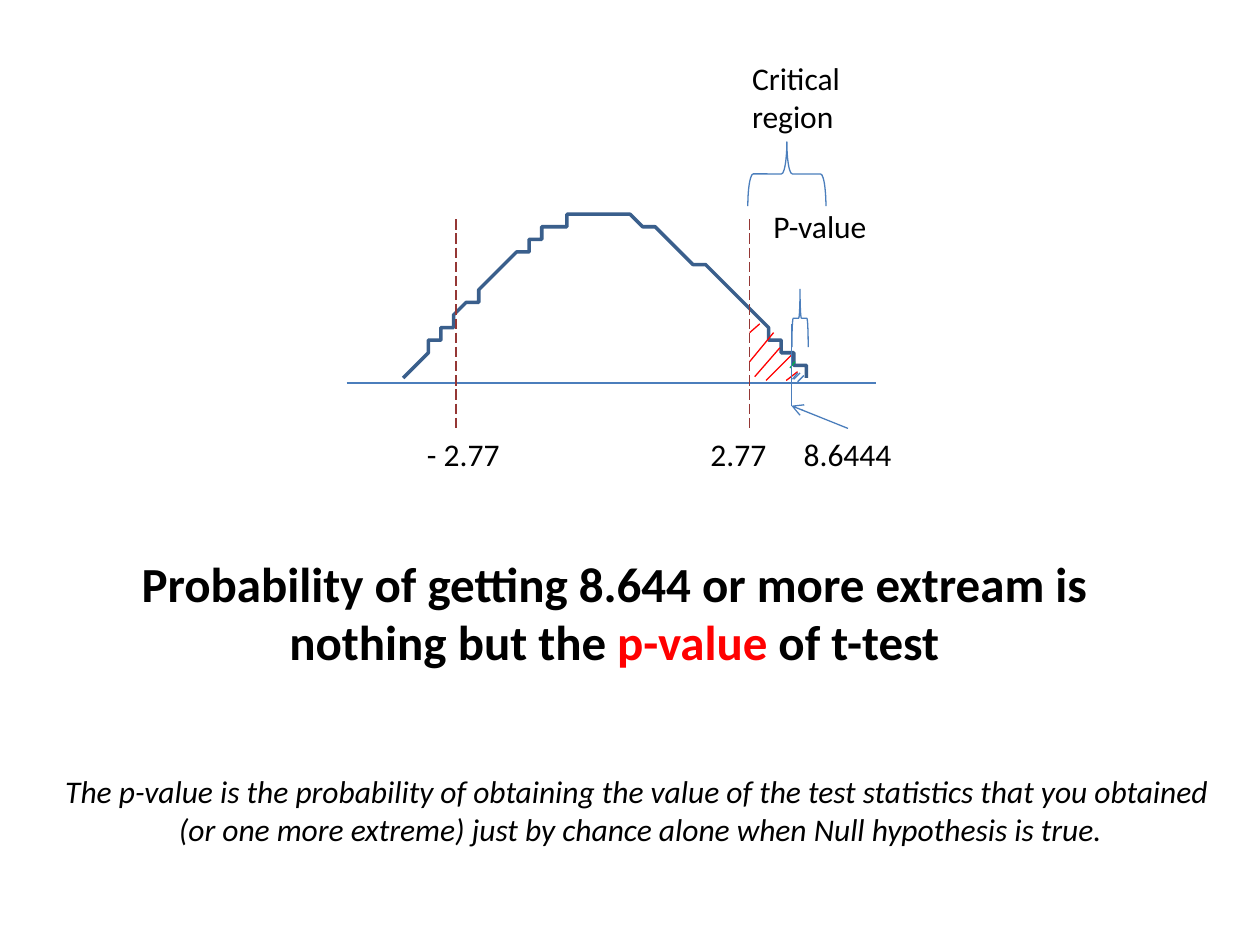
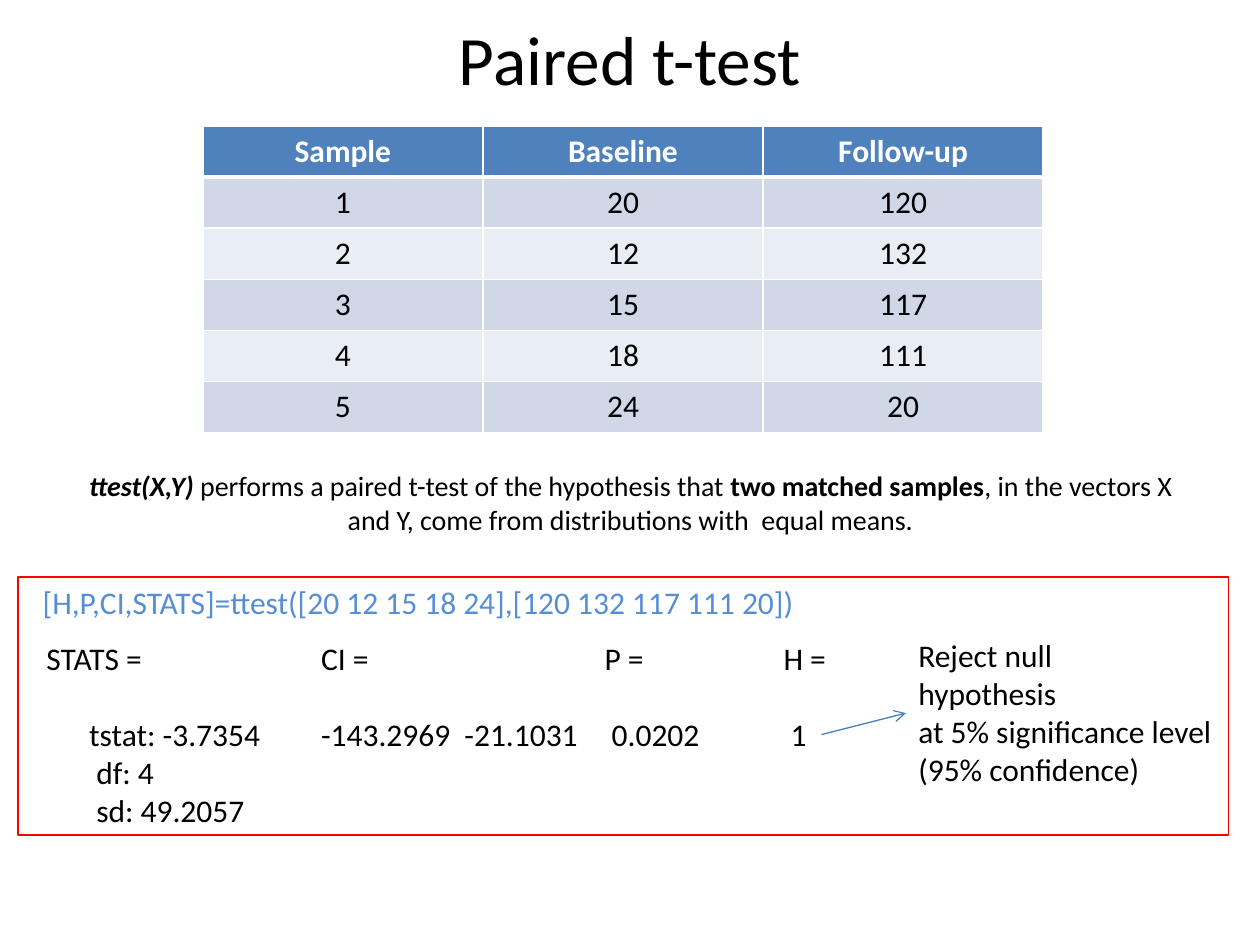
"""Build two slides: the p-value under a t curve and a paired t-test example."""
import lxml.etree
import pptx
import pptx.dml.color
import pptx.enum.dml
import pptx.enum.shapes
import pptx.enum.text
import pptx.oxml.ns
import pptx.util

FONT = "Calibri"
BLACK, WHITE, RED, GREEN = "000000", "FFFFFF", "FF0000", "00B050"
BLUE, CURVE_BLUE, CODE_BLUE, MAROON = "4B7EBC", "3A5F8C", "558ED5", "953735"
HEADER_FILL, ROW_FILLS = "4F81BD", ("D0D8E8", "E9EDF4")
SPACE, LINE = 4.07, 22
LEFT = pptx.enum.text.PP_ALIGN.LEFT
CENTER = pptx.enum.text.PP_ALIGN.CENTER
SHAPES = pptx.enum.shapes.MSO_SHAPE
hex_color = pptx.dml.color.RGBColor.from_string
qname = pptx.oxml.ns.qn

deck = pptx.Presentation()
deck.slide_width = pptx.util.Inches(10)
deck.slide_height = pptx.util.Inches(7.5)
COLUMN = deck.slide_width // 100
ROW = deck.slide_height // 75


def write(frame, paragraphs, size=18, align=LEFT, wrap=True):
    """Fill a text frame with (runs, indent, space before) paragraphs."""
    frame.word_wrap = wrap
    for index, (runs, indent, before) in enumerate(paragraphs):
        para = frame.add_paragraph() if index else frame.paragraphs[0]
        para.alignment = align
        para.space_before = pptx.util.Pt(before)
        if indent:
            para._p.get_or_add_pPr().set("marL", str(pptx.util.Pt(indent)))
        for text, style, color in runs:
            span = para.add_run()
            span.text = text
            span.font.name = FONT
            span.font.size = pptx.util.Pt(size)
            span.font.bold = "b" in style
            span.font.italic = "i" in style
            span.font.color.rgb = hex_color(color)


def draw_line(page, start, end, color, dash=None, arrow=False):
    """Draw a thin straight line between two grid points."""
    line = page.shapes.add_connector(
        pptx.enum.shapes.MSO_CONNECTOR.STRAIGHT,
        round(start[0] * COLUMN), round(start[1] * ROW),
        round(end[0] * COLUMN), round(end[1] * ROW))
    line.line.color.rgb = hex_color(color)
    line.line.width = pptx.util.Pt(0.75)
    if dash:
        line.line.dash_style = dash
    if arrow:
        outline = line.line._get_or_add_ln()
        lxml.etree.SubElement(outline, qname("a:tailEnd"), type="arrow")
    lxml.etree.SubElement(line._element.spPr, qname("a:effectLst"))


curve_page, test_page = [deck.slides.add_slide(deck.slide_layouts[6]) for _ in range(2)]

bezier_arcs = [
    ((31.9, 30.4), (37.3, 23.6), (42.7, 16.8), (48.1, 16.7)),
    ((48.1, 16.7), (53.4, 16.7), (64.2, 30.2), (64.2, 30.2)),
]
curve_points = []
for arc in bezier_arcs:
    for step in range(1, 41):
        t = step / 40
        weights = ((1 - t) ** 3, 3 * t * (1 - t) ** 2, 3 * t * t * (1 - t), t ** 3)
        curve_points.append(tuple(
            sum(weight * point[axis] for weight, point in zip(weights, arc))
            for axis in range(2)))
builder = curve_page.shapes.build_freeform(*bezier_arcs[0][0], scale=(COLUMN, ROW))
builder.add_line_segments(curve_points, close=False)
curve = builder.convert_to_shape()
curve.shadow.inherit = False
curve.fill.background()
curve.line.color.rgb = hex_color(CURVE_BLUE)
curve.line.width = pptx.util.Pt(2)

draw_line(curve_page, (27.5, 30.4), (69.5, 30.4), BLUE)
for critical_x in (59.5, 36.2):
    draw_line(curve_page, (critical_x, 17.4), (critical_x, 34), MAROON,
              dash=pptx.enum.dml.MSO_LINE.LONG_DASH)
hatching = {
    RED: [((59.5, 26.4), (60.3, 25.7)), ((60.8, 30.2), (62.8, 28.2)),
          ((62.4, 30.2), (63.3, 29.5)), ((61.4, 26.4), (59.5, 28.7)),
          ((61.9, 27.6), (59.9, 29.9))],
    GREEN: [((63.1, 28.7), (62.7, 29.2))],
    BLUE: [((63.8, 29.8), (63.3, 30.3)), ((63.5, 29.6), (63, 30.1)),
           ((63.3, 29.6), (62.9, 30.1)), ((62.8, 25.7), (62.8, 32.2))],
}
for color, strokes in hatching.items():
    for start, end in strokes:
        draw_line(curve_page, start, end, color)
draw_line(curve_page, (67.3, 34), (62.8, 32.2), BLUE, arrow=True)

outlines = [
    (curve_page, SHAPES.RIGHT_BRACE, (59.9, 10.7, 5.1, 6.2), 270, BLUE, 0.75),
    (curve_page, SHAPES.RIGHT_BRACE, (61.2, 24.6, 4.6, 1.3), 270, BLUE, 0.75),
    (test_page, SHAPES.RECTANGLE, (1.4, 45.8, 96.1, 20.5), 0, RED, 1),
]
for page, kind, (x, y, width, height), rotation, color, weight in outlines:
    outline = page.shapes.add_shape(
        kind, round(x * COLUMN), round(y * ROW), round(width * COLUMN), round(height * ROW))
    outline.rotation = rotation
    outline.shadow.inherit = False
    outline.fill.background()
    outline.line.color.rgb = hex_color(color)
    outline.line.width = pptx.util.Pt(weight)

table_rows = [("Sample", "Baseline", "Follow-up"), ("1", "20", "120"), ("2", "12", "132"),
              ("3", "15", "117"), ("4", "18", "111"), ("5", "24", "20")]
table = test_page.shapes.add_table(
    6, 3, round(16.1 * COLUMN), 10 * ROW, round(66.7 * COLUMN), round(24.3 * ROW)).table
for row, values in enumerate(table_rows):
    for column, value in enumerate(values):
        cell = table.cell(row, column)
        cell.fill.solid()
        cell.fill.fore_color.rgb = hex_color(ROW_FILLS[(row - 1) % 2] if row else HEADER_FILL)
        style, color = ("", BLACK) if row else ("b", WHITE)
        write(cell.text_frame, [([(value, style, color)], 0, 0)], align=CENTER)
        properties = cell._tc.get_or_add_tcPr()
        for position, side in enumerate("LRTB"):
            thick = (row, side) in ((0, "B"), (1, "T"))
            border = lxml.etree.Element(
                qname("a:ln" + side), w=str(pptx.util.Pt(3 if thick else 1)))
            fill = lxml.etree.SubElement(border, qname("a:solidFill"))
            lxml.etree.SubElement(fill, qname("a:srgbClr"), val=WHITE)
            properties.insert(position, border)

draw_line(test_page, (65.2, 58.3), (71.9, 56.6), BLUE, arrow=True)

labels = [
    (curve_page, (62.8, 34, 9, 4), "8.6444", False),
    (curve_page, (55.4, 34, 6.4, 4), "2.77", True),
    (curve_page, (32.9, 34, 7.8, 4), "- 2.77", False),
    (curve_page, (58.7, 4.2, 10.9, 7.1), "Critical region", True),
    (curve_page, (60.4, 15.9, 10.9, 4), "P-value", True),
]
texts = [(page, area, [([(text, "", BLACK)], 0, 0)], 18, LEFT, wrap)
         for page, area, text, wrap in labels]

results = [
    ((2.7, 50.2, 19.2, 16.2), "STATS =",
     [("tstat: -3.7354", 6), ("df: 4", 7), ("sd: 49.2057", 7)]),
    ((24.5, 50.2, 26.6, 10.1), "CI =", [("-143.2969  -21.1031", 0)]),
    ((47, 50.2, 22.4, 10.1), "P =", [("0.0202", 1)]),
    ((61.2, 50.2, 12.8, 10.1), "H =", [("1", 1)]),
]
for area, name, values in results:
    paragraphs = [([(name, "", BLACK)], 0, 0)]
    for index, (value, spaces) in enumerate(values):
        paragraphs.append(([(value, "", BLACK)], spaces * SPACE, 0 if index else LINE))
    texts.append((test_page, area, paragraphs, 18, LEFT, True))

conclusion = ("Reject null", "hypothesis", "at 5% significance level", "(95% confidence)")
definition = (
    "The p-value is the probability of obtaining the value of the test statistics that you obtained ",
    "(or one more extreme) just by chance alone when Null hypothesis is true.")
texts += [
    (curve_page, (7.1, 43.4, 83.3, 10.4), [([
        ("Probability of getting 8.644 or more extream is nothing but the ", "b", BLACK),
        ("p-value", "b", RED), (" of t-test", "b", BLACK)], 0, 0)], 28, CENTER, True),
    (curve_page, (1.7, 60.8, 98.3, 7.1),
     [([(line, "i", BLACK)], 0, 0) for line in definition], 18, CENTER, True),
    (test_page, (5, 1.7, 90, 5.8), [([("Paired t-test", "", BLACK)], 0, 0)], 39.6, CENTER, True),
    (test_page, (4.2, 36.7, 91.7, 6.4), [([
        ("ttest(X,Y) ", "bi", BLACK),
        ("performs a paired t-test of the hypothesis that ", "", BLACK),
        ("two matched samples", "b", BLACK),
        (", in the vectors X and Y, come from distributions with  equal means.", "", BLACK),
    ], 0, 0)], 16, CENTER, True),
    (test_page, (2.4, 45.8, 62.3, 4), [([
        ("[H,P,CI,STATS]=ttest([20 12 15 18 24],[120 132 117 111 20])", "", CODE_BLUE),
    ], 0, 0)], 18, LEFT, False),
    (test_page, (71.9, 50, 25.6, 13.1),
     [([(line, "", BLACK)], 0, 0) for line in conclusion], 18, LEFT, False),
]
for page, (x, y, width, height), paragraphs, size, align, wrap in texts:
    box = page.shapes.add_textbox(
        round(x * COLUMN), round(y * ROW), round(width * COLUMN), round(height * ROW))
    box.text_frame.vertical_anchor = (
        pptx.enum.text.MSO_ANCHOR.MIDDLE if size == 39.6 else pptx.enum.text.MSO_ANCHOR.TOP)
    write(box.text_frame, paragraphs, size, align, wrap)

deck.save("out.pptx")
